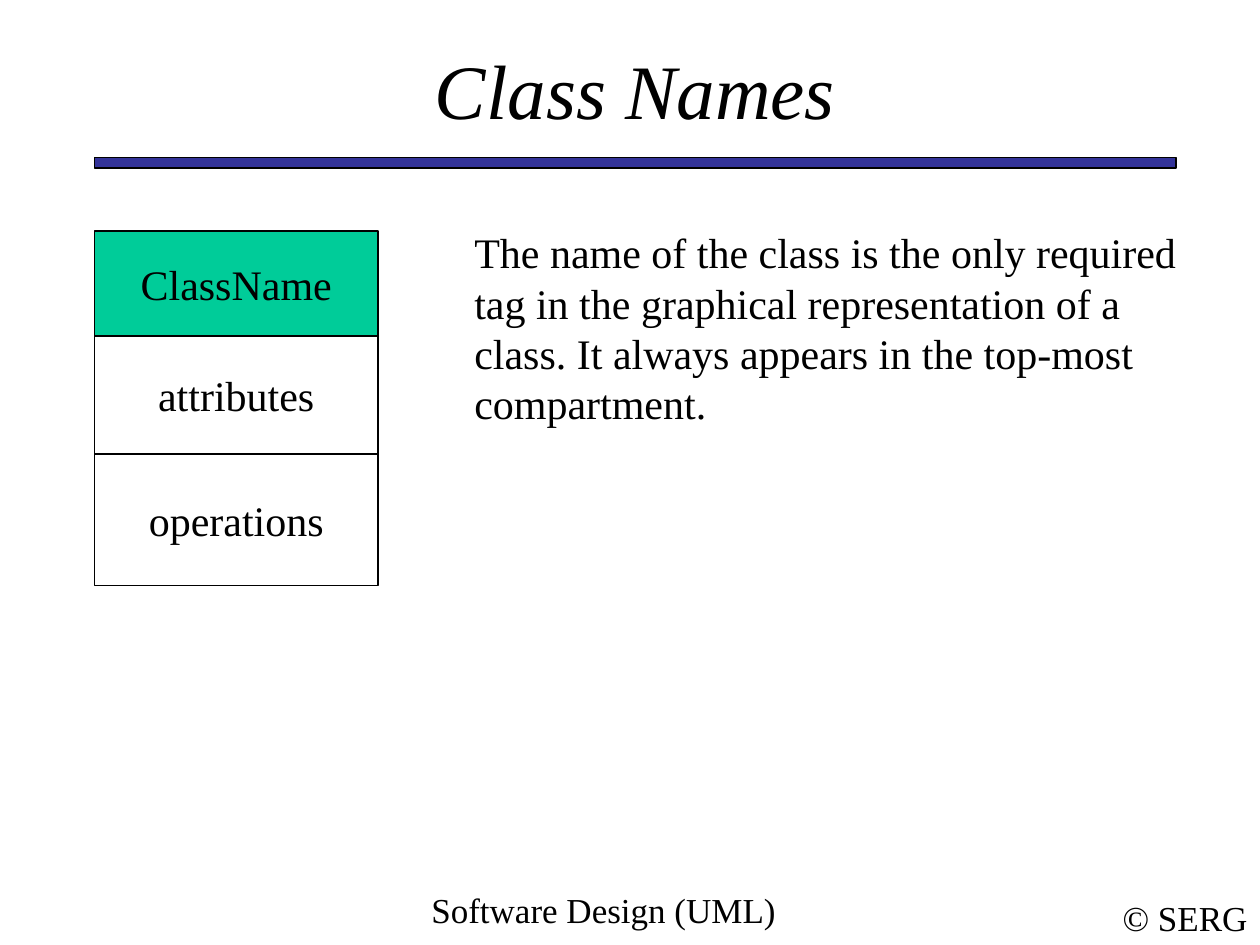
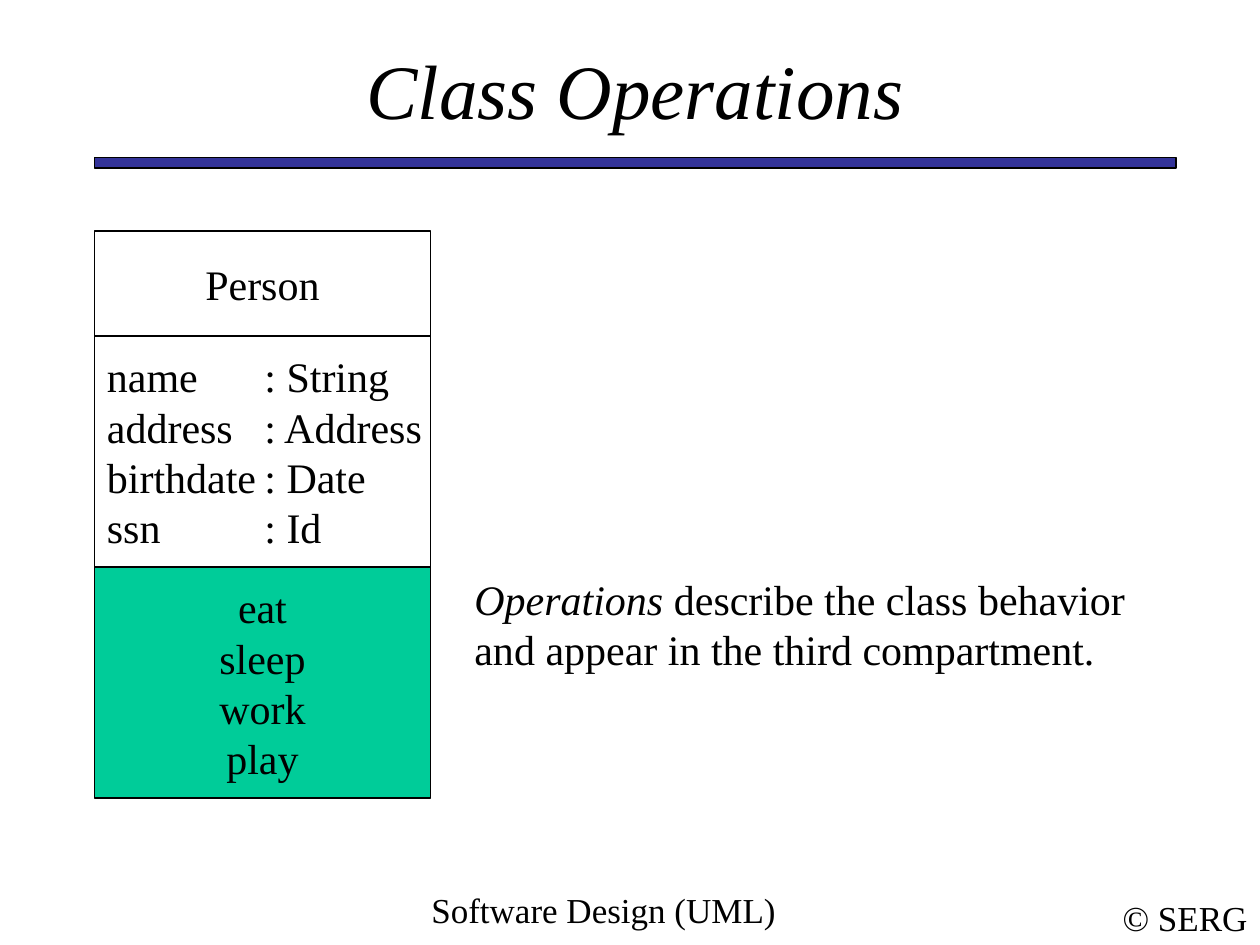
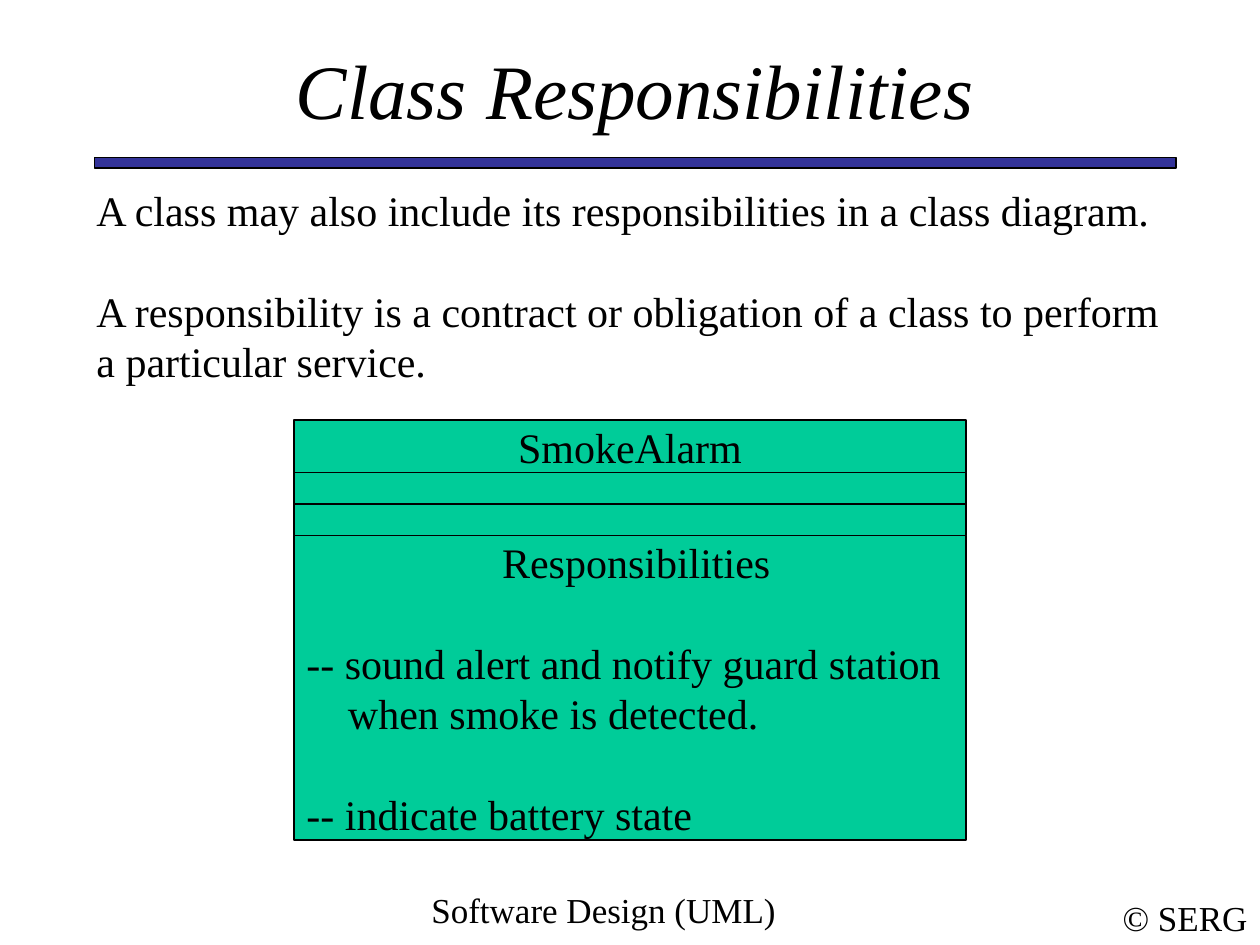
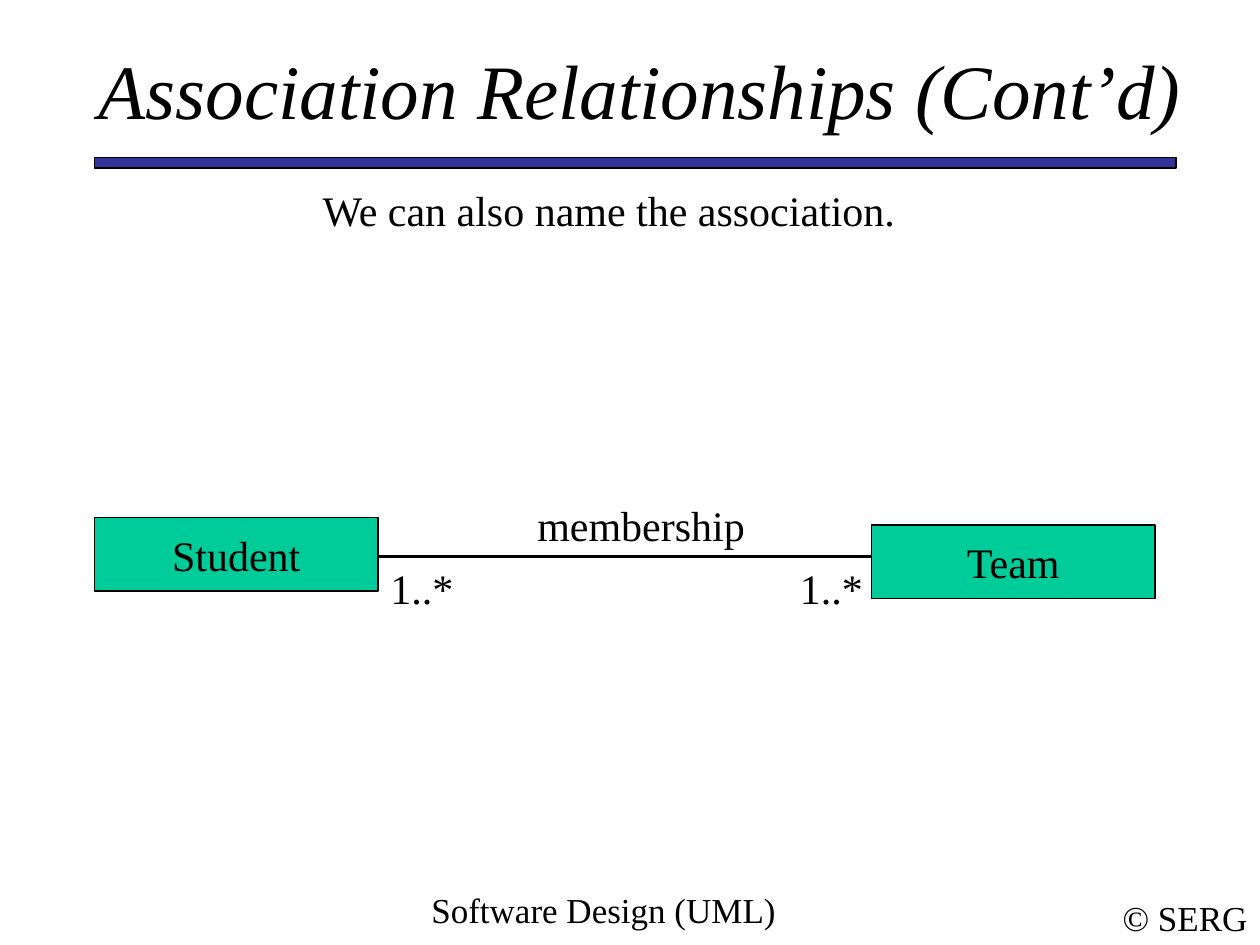
from dataclasses import dataclass

from lxml import etree
from pptx import Presentation
from pptx.dml.color import RGBColor
from pptx.enum.shapes import MSO_CONNECTOR, MSO_SHAPE
from pptx.enum.text import MSO_ANCHOR, PP_ALIGN
from pptx.oxml.ns import qn
from pptx.util import Inches, Pt

BLACK = RGBColor(0x00, 0x00, 0x00)
WHITE = RGBColor(0xFF, 0xFF, 0xFF)
GREEN = RGBColor(0x00, 0xCC, 0x99)
NAVY = RGBColor(0x33, 0x33, 0x99)

LEFT, CENTER = PP_ALIGN.LEFT, PP_ALIGN.CENTER
TOP, MIDDLE = MSO_ANCHOR.TOP, MSO_ANCHOR.MIDDLE
RECTANGLE = MSO_SHAPE.RECTANGLE
STRAIGHT = MSO_CONNECTOR.STRAIGHT

FONT = "Times New Roman"
TITLE_SIZE, BODY_SIZE, FOOTER_SIZE = 44, 24, 20
BLANK_LINE = 28.8
THIN, THICK = 0.75, 2.25

# Places are columns and rows of a grid of twelfths of an inch.
COLUMNS, ROWS = 120, 90
MARGIN = 9
CONTENT_WIDTH = 103


@dataclass
class Para:
    """A paragraph; lead is italic text that comes before the rest."""
    text: str
    lead: str = ""
    align: PP_ALIGN = LEFT
    gap: float = 0
    hang: float = 0
    tab: float = 0


def grid(*cells):
    return [Inches(cell / 12) for cell in cells]


def centered(*texts):
    return [Para(text, align=CENTER) for text in texts]


def set_indents(paragraph, para):
    properties = paragraph._p.get_or_add_pPr()
    if para.hang:
        properties.set("marL", str(Inches(para.hang)))
        properties.set("indent", str(-Inches(para.hang)))
    if para.tab:
        tabs = etree.SubElement(properties, qn("a:tabLst"))
        etree.SubElement(tabs, qn("a:tab"), pos=str(Inches(para.tab)), algn="l")


def write(shape, paras, size=BODY_SIZE, italic=False, anchor=TOP,
          sides=(0.1, 0.1), wrap=True):
    frame = shape.text_frame
    left, right = sides
    layout = {"word_wrap": wrap, "vertical_anchor": anchor,
              "margin_left": Inches(left), "margin_right": Inches(right),
              "margin_top": Inches(0.05), "margin_bottom": Inches(0.05)}
    for key, value in layout.items():
        setattr(frame, key, value)
    for index, para in enumerate(paras):
        paragraph = frame.add_paragraph() if index else frame.paragraphs[0]
        set_indents(paragraph, para)
        paragraph.alignment = para.align
        if para.gap:
            paragraph.space_before = Pt(para.gap)
        for text, slanted in ((para.lead, True), (para.text, italic)):
            if text:
                run = paragraph.add_run()
                run.text = text
                look = {"name": FONT, "size": Pt(size), "italic": slanted}
                for key, value in look.items():
                    setattr(run.font, key, value)
                run.font.color.rgb = BLACK


def add_text(slide, place, paras, **style):
    write(slide.shapes.add_textbox(*grid(*place)), paras, **style)


def add_box(slide, place, fill, paras=(), **style):
    box = slide.shapes.add_shape(RECTANGLE, *grid(*place))
    box.shadow.inherit = False
    box.fill.solid()
    box.fill.fore_color.rgb = fill
    box.line.color.rgb = BLACK
    box.line.width = Pt(THIN)
    if paras:
        write(box, paras, anchor=MIDDLE, **style)


def add_class(slide, left, top, width, compartments):
    """Stack compartments given as (height, fill, paragraphs)."""
    for height, fill, paras in compartments:
        left_aligned = any(para.align == LEFT for para in paras)
        add_box(slide, (left, top, width, height), fill, paras,
                sides=(0.1, 0 if left_aligned else 0.1))
        top += height


def add_association(slide, start, end, row):
    line = slide.shapes.add_connector(STRAIGHT, *grid(start, row, end, row))
    line.line.color.rgb = BLACK
    line.line.width = Pt(THICK)
    etree.SubElement(line._element.spPr, qn("a:effectLst"))


def add_slide(deck, title, title_left=MARGIN, title_width=CONTENT_WIDTH):
    slide = deck.slides.add_slide(deck.slide_layouts[6])
    add_text(slide, (105.75, 84.75, 14.25, 5.25), centered("© SERG"),
             size=FOOTER_SIZE, anchor=MIDDLE, sides=(0.05, 0.05), wrap=False)
    add_box(slide, (MARGIN, 15, CONTENT_WIDTH, 1), NAVY)
    add_text(slide, (31, 84, 53, 6), centered("Software Design (UML)"),
             size=FOOTER_SIZE)
    add_text(slide, (title_left, 5, title_width, 7), centered(title),
             size=TITLE_SIZE, italic=True, anchor=MIDDLE, sides=(0, 0))
    return slide


def class_names(deck):
    slide = add_slide(deck, "Class Names")
    add_class(slide, MARGIN, 22, 27, [
        (10, GREEN, centered("ClassName")),
        (11.25, WHITE, centered("attributes")),
        (12.5, WHITE, centered("operations")),
    ])
    add_text(slide, (44, 21, 72, 20.4), [Para(
        "The name of the class is the only required tag in the graphical "
        "representation of a class. It always appears in the top-most "
        "compartment.")])


def class_operations(deck):
    slide = add_slide(deck, "Class Operations")
    attributes = {"name": "String", "address": "Address",
                  "birthdate": "Date", "ssn": "Id"}
    add_class(slide, MARGIN, 22, 32, [
        (10, WHITE, centered("Person")),
        (22, WHITE, [Para(f"{name}\t: {kind}", tab=1.25)
                     for name, kind in attributes.items()]),
        (22, GREEN, centered("eat", "sleep", "work", "play")),
    ])
    add_text(slide, (44, 54, 65.4, 10.8), [
        Para("describe the class behavior", lead="Operations "),
        Para("and appear in the third compartment."),
    ])


def class_responsibilities(deck):
    slide = add_slide(deck, "Class Responsibilities")
    add_text(slide, (8, 17, 105, 20.4), [
        Para("A class may also include its responsibilities in a class diagram."),
        Para("A responsibility is a contract or obligation of a class to "
             "perform a particular service.", gap=BLANK_LINE),
    ])
    duties = ["-- sound alert and notify guard station when smoke is detected.",
              "-- indicate battery state"]
    add_class(slide, 28, 40, 64, [
        (5, GREEN, centered("SmokeAlarm")),
        (3, GREEN, []),
        (3, GREEN, []),
        (29, GREEN, centered("Responsibilities")
         + [Para(duty, gap=BLANK_LINE, hang=0.33) for duty in duties]),
    ])


def association_relationships(deck):
    slide = add_slide(deck, "Association Relationships (Cont’d)",
                      title_left=8, title_width=106)
    add_text(slide, (20, 17, 76, 6), centered("We can also name the association."))
    add_association(slide, 36, 84, 53)
    for name, left, top in (("Team", 83, 50), ("Student", MARGIN, 49.3)):
        add_box(slide, (left, top, 27, 7), GREEN, centered(name))
    for label, left, top, width in (("membership", 50, 47, 23),
                                    ("1..*", 36, 53, 10), ("1..*", 75, 53, 9)):
        add_text(slide, (left, top, width, 6), [Para(label)])


def main():
    deck = Presentation()
    deck.slide_width, deck.slide_height = grid(COLUMNS, ROWS)
    class_names(deck)
    class_operations(deck)
    class_responsibilities(deck)
    association_relationships(deck)
    deck.save("out.pptx")


if __name__ == "__main__":
    main()
